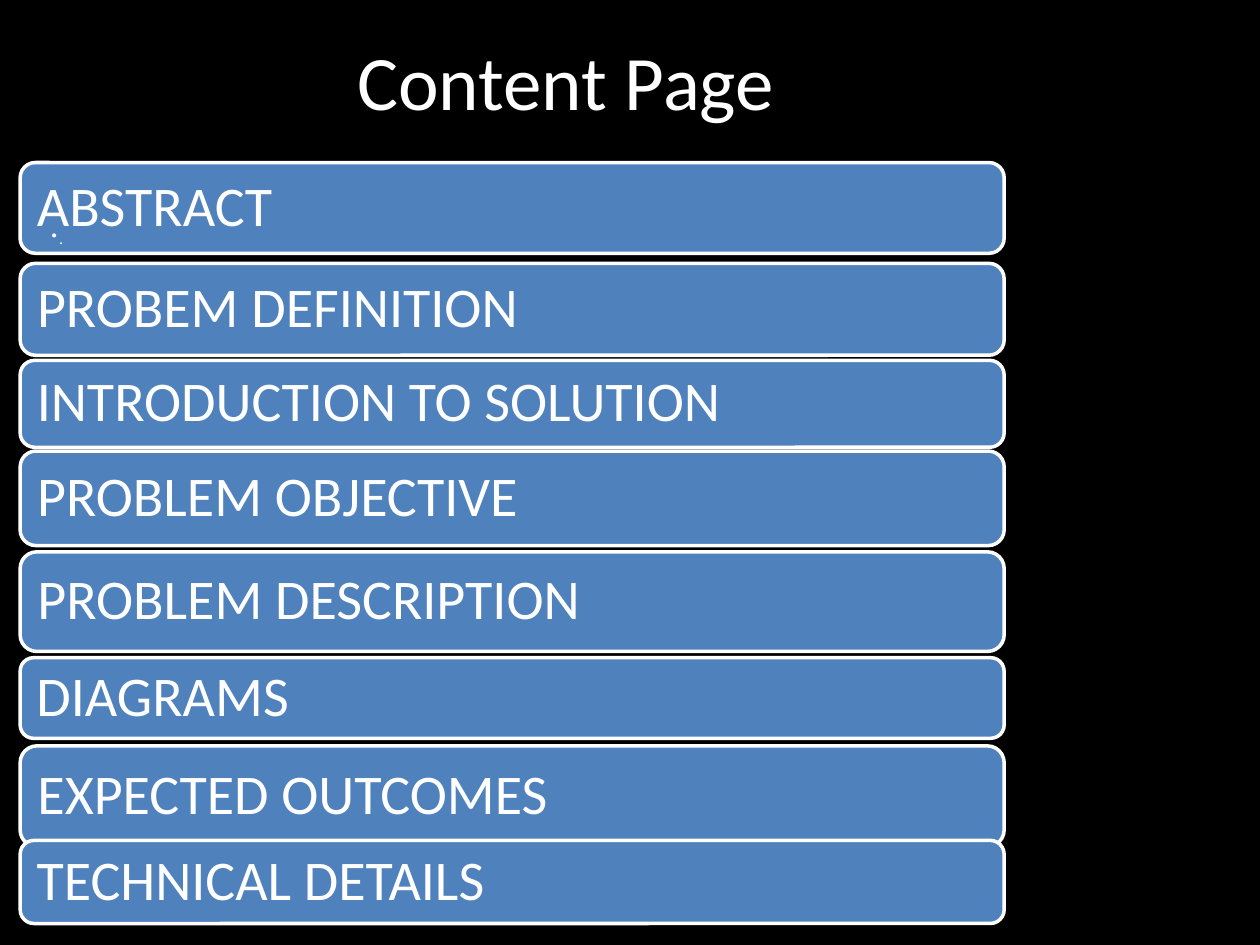
"""Build the content page: a title above a stack of rounded topic bars."""
from dataclasses import dataclass

from lxml import etree
from pptx import Presentation
from pptx.dml.color import RGBColor
from pptx.enum.shapes import MSO_SHAPE
from pptx.enum.text import MSO_ANCHOR, PP_ALIGN
from pptx.oxml.ns import qn
from pptx.util import Inches, Pt


@dataclass(frozen=True)
class Theme:
    background: RGBColor = RGBColor(0, 0, 0)
    bar: RGBColor = RGBColor(0x4F, 0x81, 0xBD)
    light: RGBColor = RGBColor(0xFF, 0xFF, 0xFF)
    font: str = "Calibri"
    title_size: int = 44
    topic_size: int = 32
    bullet_size: int = 9
    outline: int = 2


@dataclass(frozen=True)
class Topic:
    label: str
    top: float
    height: float


THEME = Theme()
WIDTH, HEIGHT = 10, 7.5
BAR_LEFT, BAR_WIDTH = 0.16, 7.81
TOPICS = (
    Topic("ABSTRACT", 1.29, 0.72),
    Topic("PROBEM DEFINITION", 2.09, 0.73),
    Topic("INTRODUCTION TO SOLUTION", 2.86, 0.69),
    Topic("PROBLEM OBJECTIVE", 3.58, 0.75),
    Topic("PROBLEM DESCRIPTION", 4.38, 0.79),
    Topic("DIAGRAMS", 5.22, 0.64),
    Topic("EXPECTED OUTCOMES", 5.92, 0.80),
    Topic("TECHNICAL DETAILS", 6.67, 0.66),
)


def box(left: float, top: float, width: float, height: float) -> tuple:
    return tuple(Inches(value) for value in (left, top, width, height))


def write(shape, text: str, size: int, align=PP_ALIGN.LEFT,
          anchor=MSO_ANCHOR.MIDDLE, inset_x: float = 0.1,
          inset_y: float = 0.05, spacing: float = 0.9):
    frame = shape.text_frame
    frame.word_wrap = True
    frame.vertical_anchor = anchor
    frame.margin_left = frame.margin_right = Inches(inset_x)
    frame.margin_top = frame.margin_bottom = Inches(inset_y)
    paragraph = frame.paragraphs[0]
    paragraph.alignment = align
    paragraph.line_spacing = spacing
    run = paragraph.add_run()
    run.text = text
    run.font.name = THEME.font
    run.font.size = Pt(size)
    run.font.color.rgb = THEME.light
    return paragraph


def draw_topic(slide, topic: Topic) -> None:
    bar = slide.shapes.add_shape(
        MSO_SHAPE.ROUNDED_RECTANGLE,
        *box(BAR_LEFT, topic.top, BAR_WIDTH, topic.height))
    bar.shadow.inherit = False
    bar.fill.solid()
    bar.fill.fore_color.rgb = THEME.bar
    bar.line.color.rgb = THEME.light
    bar.line.width = Pt(THEME.outline)
    write(bar, topic.label, THEME.topic_size)


def draw_bullet(slide) -> None:
    note = slide.shapes.add_textbox(*box(BAR_LEFT, 1.81, BAR_WIDTH, 0.22))
    paragraph = write(note, ".", THEME.bullet_size, anchor=MSO_ANCHOR.TOP,
                      inset_x=0.25, inset_y=0.02)
    properties = paragraph._p.get_or_add_pPr()
    properties.set("marL", str(Inches(0.06)))
    properties.set("indent", str(-Inches(0.06)))
    etree.SubElement(properties, qn("a:buChar")).set("char", "•")


def build() -> None:
    deck = Presentation()
    deck.slide_width, deck.slide_height = Inches(WIDTH), Inches(HEIGHT)
    slide = deck.slides.add_slide(deck.slide_layouts[6])
    slide.background.fill.solid()
    slide.background.fill.fore_color.rgb = THEME.background
    title = slide.shapes.add_textbox(*box(0.39, 0.16, 8.2, 0.94))
    write(title, "Content Page", THEME.title_size, PP_ALIGN.CENTER, spacing=1.0)
    for topic in TOPICS:
        draw_topic(slide, topic)
    draw_bullet(slide)
    deck.save("out.pptx")


build()
